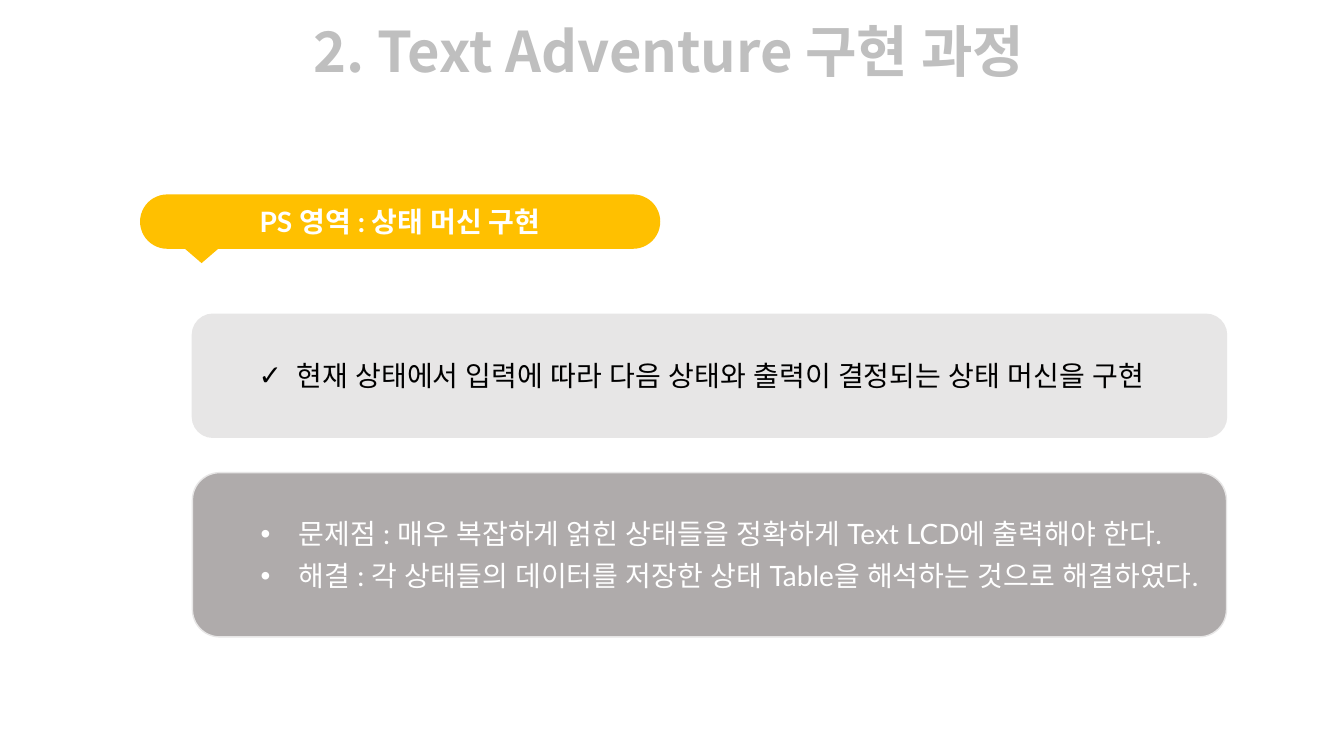
from lxml import etree
from pptx import Presentation, util as u
from pptx.dml.color import RGBColor
from pptx.enum import shapes, text
from pptx.oxml import ns

SHAPE = shapes.MSO_SHAPE


def color(value):
    return RGBColor.from_string(value)


def write(paragraph, content, font="Lato", size=20, fill="FFFFFF", bold=False,
          align=text.PP_ALIGN.CENTER):
    paragraph.alignment = align
    run = paragraph.add_run()
    run.text = content
    run.font.name = font
    run.font.size = u.Pt(size)
    run.font.bold = bold
    run.font.color.rgb = color(fill)
    east_asian = etree.SubElement(run.font._element, ns.qn("a:ea"))
    east_asian.set("typeface", font)


def add_bullet(paragraph, character):
    properties = paragraph._p.get_or_add_pPr()
    properties.set("marL", str(u.Cm(2.22)))
    properties.set("indent", str(u.Cm(-0.95)))
    font = etree.SubElement(properties, ns.qn("a:buFont"))
    font.set("typeface", "Arial")
    bullet = etree.SubElement(properties, ns.qn("a:buChar"))
    bullet.set("char", character)


class SlideBuilder:
    gold = "FFC000"
    border = "E7E6E6"

    def __init__(self, presentation):
        self.slide = presentation.slides.add_slide(presentation.slide_layouts[6])

    def title(self, content, *box):
        frame = self.slide.shapes.add_textbox(*map(u.Cm, box)).text_frame
        frame.word_wrap = True
        paragraph = frame.paragraphs[0]
        paragraph.line_spacing = 0.87
        write(paragraph, content, font="Noto Sans CJK KR", size=40, fill="BFBFBF", bold=True)

    def shape(self, kind, fill, *box, line=None):
        shape = self.slide.shapes.add_shape(kind, *map(u.Cm, box))
        shape.shadow.inherit = False
        shape.fill.solid()
        shape.fill.fore_color.rgb = color(fill)
        if line:
            shape.line.color.rgb = color(line)
            shape.line.width = u.Pt(1)
        else:
            shape.line.fill.background()
        shape.text_frame.word_wrap = True
        shape.text_frame.vertical_anchor = text.MSO_ANCHOR.MIDDLE
        return shape

    def callout(self, content, *box):
        left, top, width, height = box
        pointer = self.shape(SHAPE.ISOSCELES_TRIANGLE, self.gold,
                             left + 0.61, top + 0.92, 1.88, 0.81)
        pointer.rotation = 180
        label = self.shape(SHAPE.ROUNDED_RECTANGLE, self.gold, *box)
        label.adjustments[0] = 0.5
        write(label.text_frame.paragraphs[0], content, bold=True)

    def panel(self, items, bullet, fill, font_fill, *box):
        panel = self.shape(SHAPE.ROUNDED_RECTANGLE, fill, *box, line=self.border)
        frame = panel.text_frame
        for index, item in enumerate(items):
            paragraph = frame.add_paragraph() if index else frame.paragraphs[0]
            paragraph.level = 1
            paragraph.space_after = u.Pt(6)
            add_bullet(paragraph, bullet)
            write(paragraph, item, fill=font_fill, align=text.PP_ALIGN.LEFT)


def main():
    presentation = Presentation()
    presentation.slide_width = u.Cm(33.87)
    presentation.slide_height = u.Cm(19.05)
    builder = SlideBuilder(presentation)
    builder.panel(["현재 상태에서 입력에 따라 다음 상태와 출력이 결정되는 상태 머신을 구현"],
                  "✓", "E7E6E6", "000000", 4.85, 7.92, 26.06, 3.1)
    builder.panel(["문제점 : 매우 복잡하게 얽힌 상태들을 정확하게 Text LCD에 출력해야 한다.",
                   "해결 : 각 상태들의 데이터를 저장한 상태 Table을 해석하는 것으로 해결하였다."],
                  "•", "AFABAB", "FFFFFF", 4.85, 11.91, 26.06, 4.14)
    builder.callout("PS 영역 : 상태 머신 구현", 3.53, 4.9, 13.11, 1.37)
    builder.title("2. Text Adventure 구현 과정", 6.53, 0.53, 20.65, 1.96)
    presentation.save("out.pptx")


if __name__ == "__main__":
    main()
